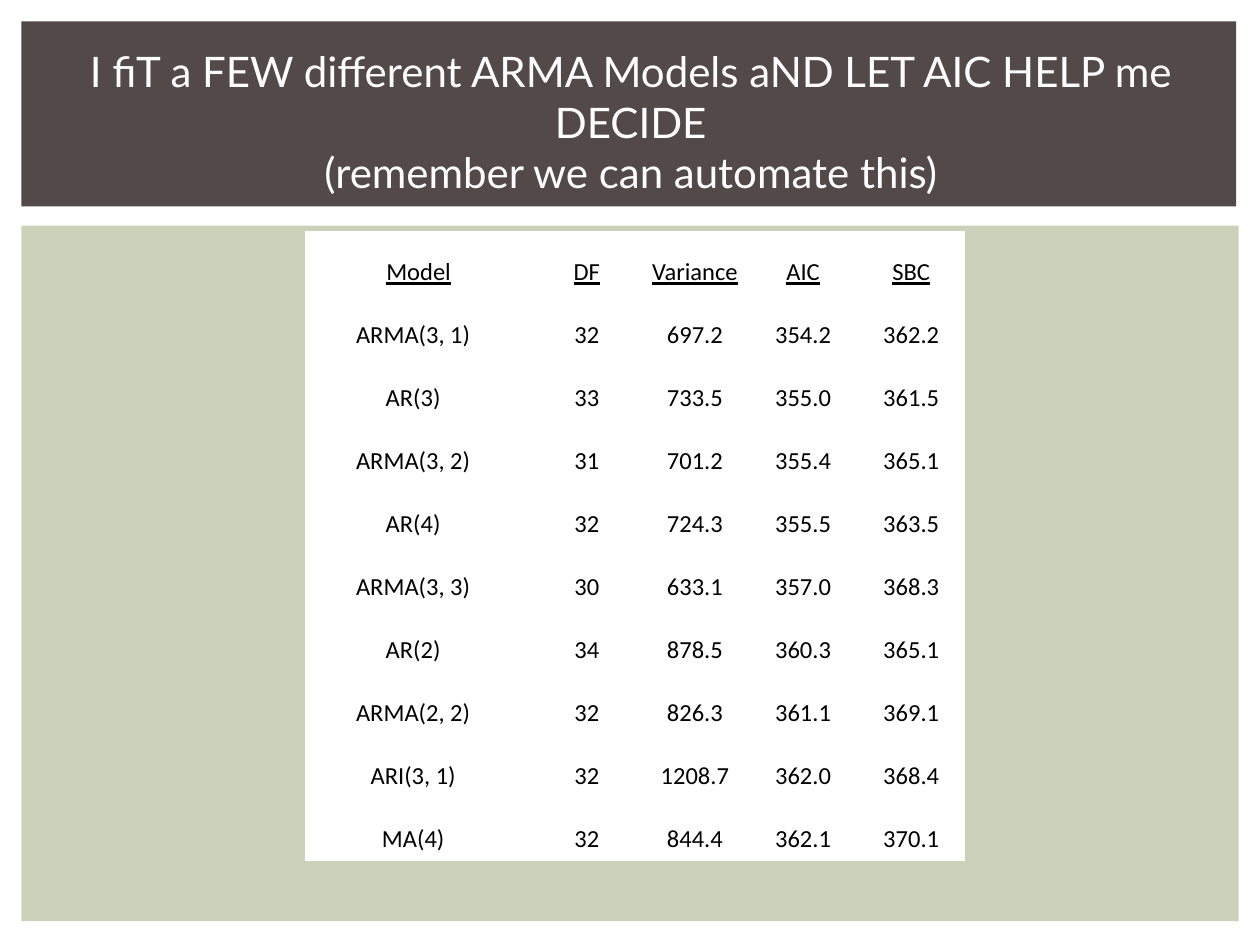
from pptx import Presentation
from pptx.dml.color import RGBColor
from pptx.enum.shapes import MSO_SHAPE
from pptx.enum.text import MSO_ANCHOR, MSO_AUTO_SIZE, PP_ALIGN
from pptx.util import Cm, Pt

RECT = MSO_SHAPE.RECTANGLE
MIDDLE, BOTTOM = MSO_ANCHOR.MIDDLE, MSO_ANCHOR.BOTTOM
CENTER = PP_ALIGN.CENTER
NO_FIT = MSO_AUTO_SIZE.NONE
PLAIN = "{2D5ABB26-0587-4C30-8999-92F81FD0307C}"  # no style, no grid

COLORS = {"panel": "CCD1B9", "band": "534949", "white": "FFFFFF", "black": "000000"}

ROWS = [
    ("Model", "DF", "Variance", "AIC", "SBC"),
    ("ARMA(3, 1)", "32", "697.2", "354.2", "362.2"),
    ("AR(3)", "33", "733.5", "355.0", "361.5"),
    ("ARMA(3, 2)", "31", "701.2", "355.4", "365.1"),
    ("AR(4)", "32", "724.3", "355.5", "363.5"),
    ("ARMA(3, 3)", "30", "633.1", "357.0", "368.3"),
    ("AR(2)", "34", "878.5", "360.3", "365.1"),
    ("ARMA(2, 2)", "32", "826.3", "361.1", "369.1"),
    ("ARI(3, 1)", "32", "1208.7", "362.0", "368.4"),
    ("MA(4)", "32", "844.4", "362.1", "370.1"),
]
WIDTHS = [4.6] + [2.18] * 4
HEIGHT = 1.27


def color(name):
    return RGBColor.from_string(COLORS[name])


def style(par, face, size, tint):
    par.alignment = CENTER
    for run in par.runs:
        run.font.name = face
        run.font.size = Pt(size)
        run.font.color.rgb = color(tint)


prs = Presentation()
prs.slide_width, prs.slide_height = Cm(25.4), Cm(19.05)
slide = prs.slides.add_slide(prs.slide_layouts[5])
shapes = slide.shapes
title = shapes.title

# Backdrop: body panel and title band, both behind the title
for name, top, width, height in (("panel", 4.55, 24.54, 14.02), ("band", 0.43, 24.49, 3.73)):
    box = shapes.add_shape(RECT, Cm(0.43), Cm(top), Cm(width), Cm(height))
    box.shadow.inherit = False
    box.fill.solid()
    box.fill.fore_color.rgb = color(name)
    box.line.fill.background()
    title._element.addprevious(box._element)

# Title
title.left, title.top = Cm(1.07), Cm(0.99)
title.width, title.height = Cm(23.29), Cm(2.92)
frame = title.text_frame
frame.text = ("I fiT a FEW different ARMA Models aND LET AIC HELP me DECIDE\v"
              "(remember we can automate this)")
frame.auto_size = NO_FIT
frame.word_wrap = True
frame.vertical_anchor = MIDDLE
style(frame.paragraphs[0], "Lato", 24, "white")

# Model comparison table
holder = shapes.add_table(len(ROWS), len(WIDTHS), Cm(6.14), Cm(4.65),
                          Cm(sum(WIDTHS)), Cm(HEIGHT * len(ROWS)))
table = holder.table
table.first_row = table.horz_banding = False
table._tbl.tblPr.find("{*}tableStyleId").text = PLAIN
for col, width in zip(table.columns, WIDTHS):
    col.width = Cm(width)
for r, row in enumerate(ROWS):
    table.rows[r].height = Cm(HEIGHT)
    for c, text in enumerate(row):
        cell = table.cell(r, c)
        cell.text = text
        cell.fill.solid()
        cell.fill.fore_color.rgb = color("white")
        cell.vertical_anchor = BOTTOM
        cell.margin_left = Cm(0.03)
        # Model names sit slightly left of centre
        cell.margin_right = Cm(0.25 if r and c == 0 else 0.03)
        par = cell.text_frame.paragraphs[0]
        style(par, "Calibri", 14, "black")
        par.runs[0].font.underline = r == 0

prs.save("out.pptx")
